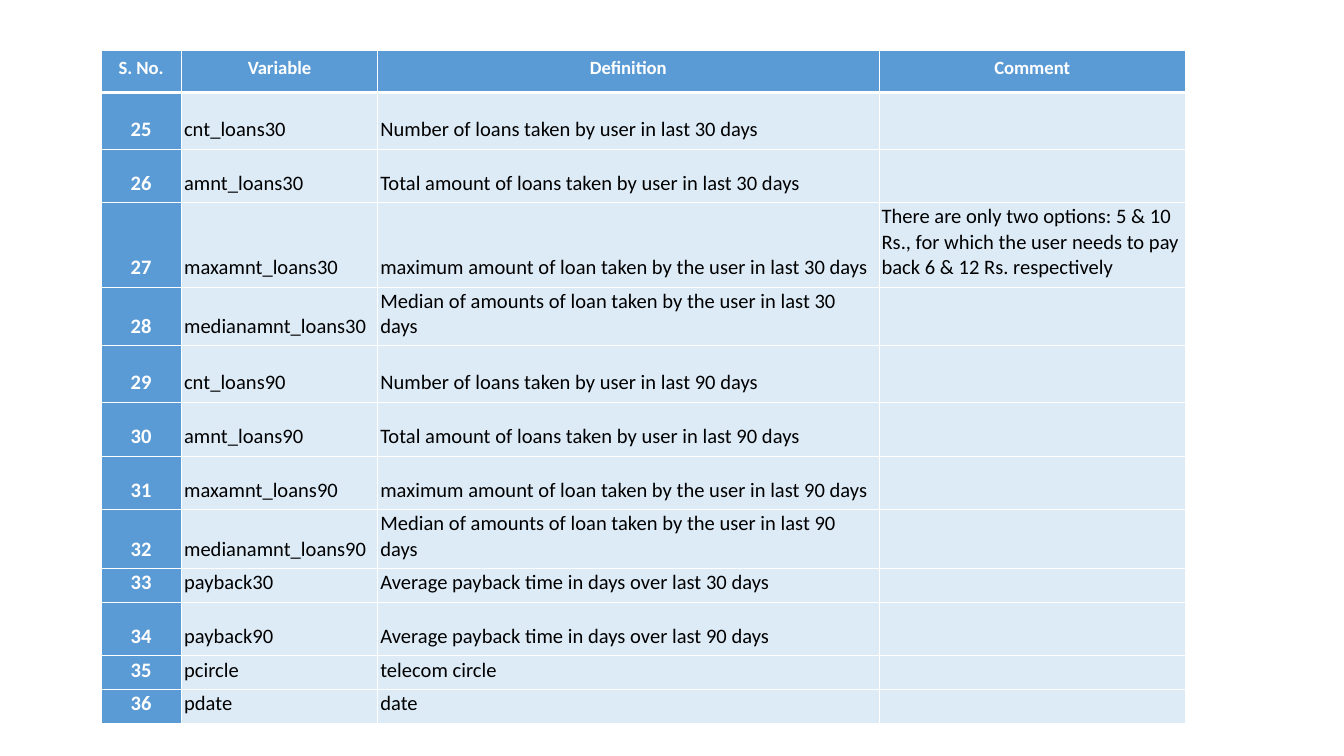
from dataclasses import dataclass

from lxml.etree import SubElement
from pptx import Presentation
from pptx.dml.color import RGBColor
from pptx.enum.text import MSO_ANCHOR, PP_ALIGN
from pptx.oxml.ns import qn
from pptx.util import Inches, Pt


@dataclass(frozen=True)
class Theme:
    font: str = "Calibri"
    header_size: float = 10
    body_size: float = 11
    accent: str = "5B9BD5"
    band: str = "DDEBF7"
    light: str = "FFFFFF"
    dark: str = "000000"
    thin: float = 0.5
    thick: float = 1.5


class SlideBuilder:
    def __init__(self, slide, theme):
        self.s = slide
        self.theme = theme

    def border(self, cell, side, width):
        ln = SubElement(cell._tc.get_or_add_tcPr(), qn(f"a:ln{side}"), w=str(Pt(width)))
        fill = SubElement(ln, qn("a:solidFill"))
        SubElement(fill, qn("a:srgbClr"), val=self.theme.light)

    def cell(self, cell, text, header, key):
        t = self.theme
        strong = header or key
        size = t.header_size if header else t.body_size
        cell.margin_left = cell.margin_right = Inches(0.02)
        cell.margin_top = Inches(0.01)
        cell.margin_bottom = Inches(0.05)
        cell.vertical_anchor = MSO_ANCHOR.MIDDLE if header else MSO_ANCHOR.BOTTOM
        cell.fill.solid()
        cell.fill.fore_color.rgb = RGBColor.from_string(t.accent if strong else t.band)
        p = cell.text_frame.paragraphs[0]
        p.alignment = PP_ALIGN.CENTER if strong else PP_ALIGN.LEFT
        p.font.name = t.font
        p.font.size = Pt(size)
        p.font.bold = strong
        p.font.color.rgb = RGBColor.from_string(t.light if strong else t.dark)
        if text:
            p.add_run().text = text
        else:
            p._p.get_or_add_endParaRPr().set("sz", str(size * 100))

    def table(self, left, top, widths, heights, rows):
        t = self.theme
        table = self.s.shapes.add_table(
            len(rows), len(widths), Inches(left), Inches(top),
            Inches(sum(widths)), Inches(sum(heights))).table
        table.horz_banding = False
        for column, width in zip(table.columns, widths):
            column.width = Inches(width)
        for row, height in zip(table.rows, heights):
            row.height = Inches(height)
        for i, values in enumerate(rows):
            for j, text in enumerate(values):
                cell = table.cell(i, j)
                if j > 0:
                    self.border(cell, "L", t.thin)
                if j < len(widths) - 1:
                    self.border(cell, "R", t.thin)
                if i > 0:
                    self.border(cell, "T", t.thick if i == 1 else t.thin)
                self.border(cell, "B", t.thick if i == 0 else t.thin)
                self.cell(cell, text, header=i == 0, key=j == 0)


HEADER = ("S. No.", "Variable", "Definition", "Comment")
FIRST_NUMBER = 25
VARIABLES = [
    ("cnt_loans30", "Number of loans taken by user in last 30 days"),
    ("amnt_loans30", "Total amount of loans taken by user in last 30 days"),
    ("maxamnt_loans30", "maximum amount of loan taken by the user in last 30 days"),
    ("medianamnt_loans30", "Median of amounts of loan taken by the user in last 30 days"),
    ("cnt_loans90", "Number of loans taken by user in last 90 days"),
    ("amnt_loans90", "Total amount of loans taken by user in last 90 days"),
    ("maxamnt_loans90", "maximum amount of loan taken by the user in last 90 days"),
    ("medianamnt_loans90", "Median of amounts of loan taken by the user in last 90 days"),
    ("payback30", "Average payback time in days over last 30 days"),
    ("payback90", "Average payback time in days over last 90 days"),
    ("pcircle", "telecom circle"),
    ("pdate", "date"),
]
COMMENTS = {
    "maxamnt_loans30": "There are only two options: 5 & 10 Rs., for which the user "
                       "needs to pay back 6 & 12 Rs. respectively",
}
COLUMN_WIDTHS = [0.6, 1.46, 3.73, 2.28]
ROW_HEIGHTS = [0.32, 0.42, 0.4, 0.61, 0.43, 0.42, 0.4, 0.4, 0.43, 0.25, 0.4, 0.25, 0.25]


def main():
    prs = Presentation()
    prs.slide_width, prs.slide_height = Inches(10), Inches(10 * 9 / 16)
    s = prs.slides.add_slide(prs.slide_layouts[6])
    rows = [HEADER] + [
        (str(number), name, definition, COMMENTS.get(name, ""))
        for number, (name, definition) in enumerate(VARIABLES, FIRST_NUMBER)
    ]
    SlideBuilder(s, Theme()).table(0.75, 0.37, COLUMN_WIDTHS, ROW_HEIGHTS, rows)
    prs.save("out.pptx")


if __name__ == "__main__":
    main()
